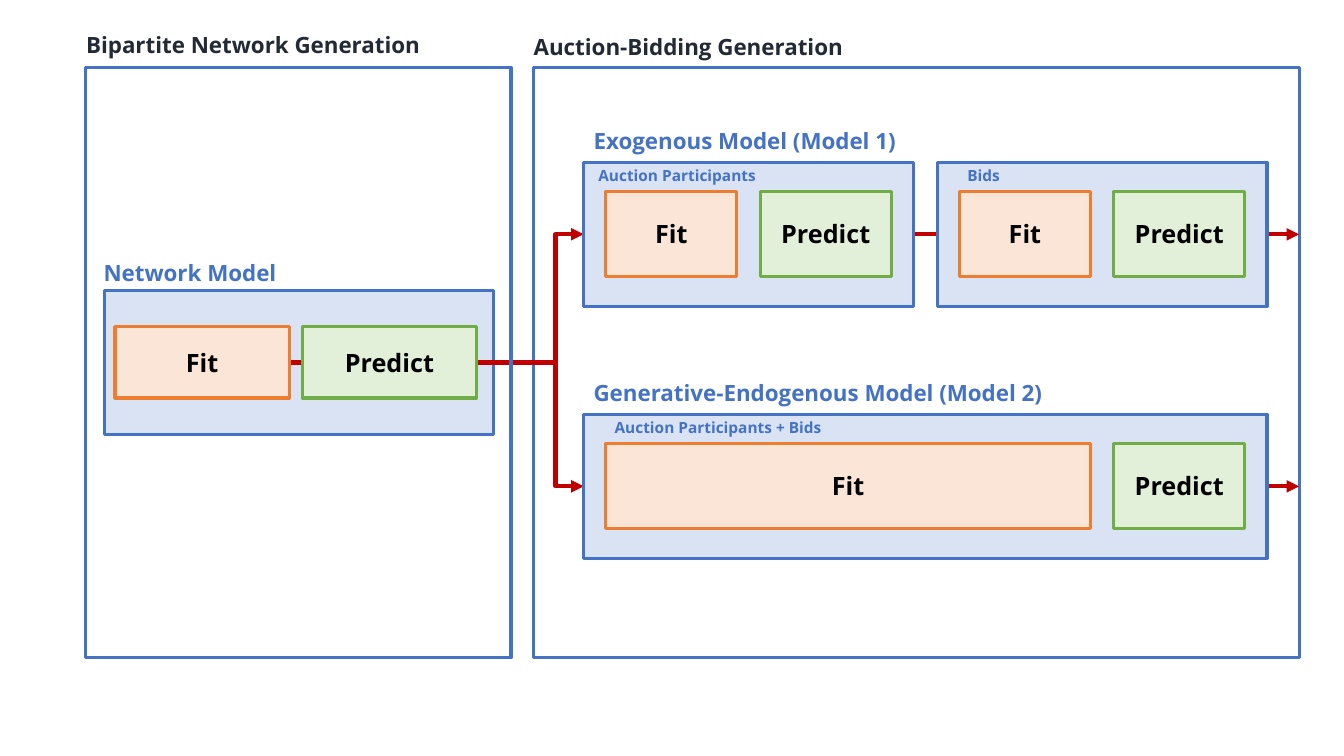
from lxml import etree
from pptx import Presentation
from pptx.dml.color import RGBColor
from pptx.enum.shapes import MSO_CONNECTOR, MSO_SHAPE
from pptx.enum.text import MSO_ANCHOR, PP_ALIGN
from pptx.oxml.ns import qn
from pptx.util import Cm, Pt

STRAIGHT, ELBOW = MSO_CONNECTOR.STRAIGHT, MSO_CONNECTOR.ELBOW
RECTANGLE = MSO_SHAPE.RECTANGLE
MIDDLE, CENTER = MSO_ANCHOR.MIDDLE, PP_ALIGN.CENTER

BLUE = RGBColor(0x44, 0x72, 0xC4)
PALE_BLUE = RGBColor(0xDA, 0xE3, 0xF3)
ORANGE = RGBColor(0xED, 0x7D, 0x31)
PALE_ORANGE = RGBColor(0xFB, 0xE5, 0xD6)
GREEN = RGBColor(0x70, 0xAD, 0x47)
PALE_GREEN = RGBColor(0xE2, 0xF0, 0xD9)
RED = RGBColor(0xC0, 0x00, 0x00)
NAVY = RGBColor(0x22, 0x2A, 0x35)
BLACK = RGBColor(0x00, 0x00, 0x00)
FONT = "Open Sans"

# Boxes are (left, top, width, height) in centimetres.
NETWORK_SECTION = (2.16, 1.7, 10.72, 14.88)
AUCTION_SECTION = (13.44, 1.7, 19.3, 14.88)
NETWORK_PANEL = (2.64, 7.32, 9.8, 3.63)
EXOGENOUS_MODEL = (14.71, 4.09, 17.22, 3.63)
ENDOGENOUS_MODEL = (14.71, 10.44, 17.22, 3.63)
STAGE_WIDTH = 8.31
STEP_INSET, STEP_TOP, STEP_WIDTH, STEP_HEIGHT, STEP_GAP = 0.56, 0.74, 3.3, 2.13, 0.59
BRANCH_X = 14.0


def style_text(paragraph, text, size, color):
    """Write bold text into a paragraph."""
    paragraph.text = text
    font = paragraph.font
    font.name, font.size, font.bold = FONT, Pt(size), True
    font.color.rgb = color


def add_box(slide, box, line, fill=None, text=None):
    """Draw an outlined rectangle, optionally filled and labelled."""
    rect = slide.shapes.add_shape(RECTANGLE, *map(Cm, box))
    rect.shadow.inherit = False
    rect.line.color.rgb, rect.line.width = line, Pt(2.25)
    if fill is None:
        rect.fill.background()
    else:
        rect.fill.solid()
        rect.fill.fore_color.rgb = fill
    if text:
        rect.text_frame.vertical_anchor = MIDDLE
        style_text(rect.text_frame.paragraphs[0], text, 18, BLACK)
        rect.text_frame.paragraphs[0].alignment = CENTER


def add_caption(slide, left, top, text, size=16, color=BLUE):
    """Place a heading whose text box starts at left, top."""
    height = 0.94 if size == 16 else 0.74
    caption = slide.shapes.add_textbox(Cm(left), Cm(top), Cm(14), Cm(height))
    caption.text_frame.word_wrap = True
    style_text(caption.text_frame.paragraphs[0], text, size, color)


def add_arrow(slide, start, end, bend_x=None):
    """Draw a red arrow, turning at bend_x when it is given."""
    kind = STRAIGHT if bend_x is None else ELBOW
    arrow = slide.shapes.add_connector(kind, *map(Cm, start + end))
    arrow.line.color.rgb, arrow.line.width = RED, Pt(3)
    etree.SubElement(arrow.line._get_or_add_ln(), qn("a:tailEnd"), type="triangle")
    properties = arrow._element.spPr
    etree.SubElement(properties, qn("a:effectLst"))
    if bend_x is not None:
        share = round((bend_x - start[0]) / (end[0] - start[0]) * 100000)
        adjustments = properties.find(qn("a:prstGeom")).get_or_add_avLst()
        etree.SubElement(adjustments, qn("a:gd"), name="adj1", fmla=f"val {share}")


def add_steps(slide, box, predict_width, gap):
    """Fill a box with a Fit step and, after a gap, a Predict step."""
    left, top, width, height = box
    fit_width = width - gap - predict_width
    add_box(slide, (left, top, fit_width, height), ORANGE, PALE_ORANGE, "Fit")
    predict_left = left + fit_width + gap
    add_box(slide, (predict_left, top, predict_width, height), GREEN, PALE_GREEN, "Predict")


def add_section(slide, box, title, title_top):
    """Frame a section and put its title above it."""
    add_box(slide, box, BLUE)
    add_caption(slide, box[0] - 0.24, title_top, title, color=NAVY)


def add_network(slide, section, panel, models):
    """Draw the network section, with branches leading to the models."""
    left, top, width, height = panel
    add_box(slide, panel, BLUE, PALE_BLUE)
    steps = (left + 0.26, top + 0.91, 9.11, 1.8)
    for model in models:
        target = (model[0], model[1] + model[3] / 2)
        add_arrow(slide, (steps[0], top + height / 2), target, BRANCH_X)
    add_section(slide, section, "Bipartite Network Generation", 0.66)
    add_steps(slide, steps, 4.39, 0.33)
    add_caption(slide, left - 0.28, top - 0.92, "Network Model")


def add_model(slide, box, title, stages, stage_width):
    """Draw a model: right-aligned last stage, flow arrow and captions."""
    left, top, width, height = box
    middle = top + height / 2
    section_right = AUCTION_SECTION[0] + AUCTION_SECTION[2]
    add_arrow(slide, (left, middle), (section_right, middle))
    add_caption(slide, left, top - 1.02, title)
    pitch = width - stage_width
    for index, (label, indent) in enumerate(stages):
        stage_left = left + index * pitch
        add_box(slide, (stage_left, top, stage_width, height), BLUE, PALE_BLUE)
        steps = (stage_left + STEP_INSET, top + STEP_TOP,
                 stage_width - 2 * STEP_INSET, STEP_HEIGHT)
        add_steps(slide, steps, STEP_WIDTH, STEP_GAP)
        add_caption(slide, stage_left + indent, top - 0.02, label, size=11)


def build_slide(slide):
    """Place both sections and the two auction models."""
    add_section(slide, AUCTION_SECTION, "Auction-Bidding Generation", 0.71)
    add_network(slide, NETWORK_SECTION, NETWORK_PANEL, (EXOGENOUS_MODEL, ENDOGENOUS_MODEL))
    add_model(slide, ENDOGENOUS_MODEL, "Generative-Endogenous Model (Model 2)",
              [("Auction Participants + Bids", 0.53)], ENDOGENOUS_MODEL[2])
    add_model(slide, EXOGENOUS_MODEL, "Exogenous Model (Model 1)",
              [("Auction Participants", 0.12), ("Bids", 0.51)], STAGE_WIDTH)


presentation = Presentation()
presentation.slide_width, presentation.slide_height = Cm(33.87), Cm(19.05)
build_slide(presentation.slides.add_slide(presentation.slide_layouts[6]))
presentation.save("out.pptx")
